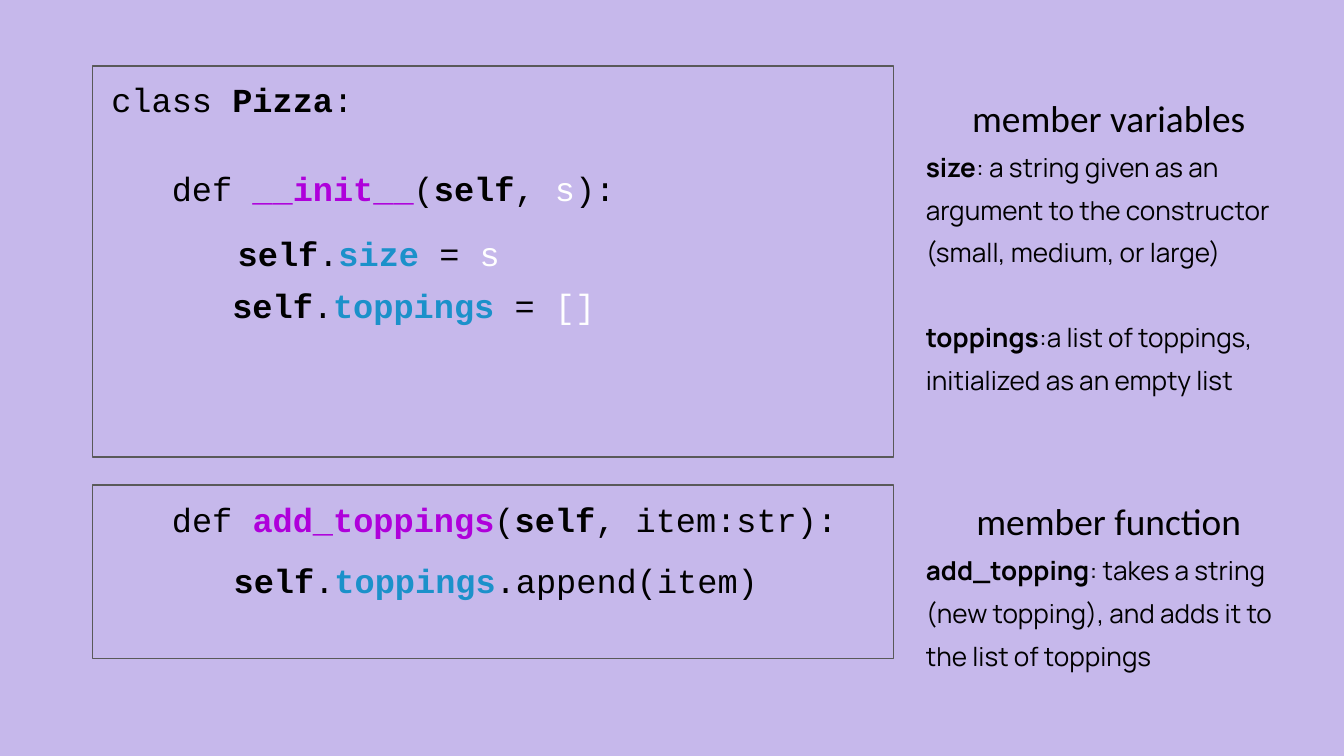
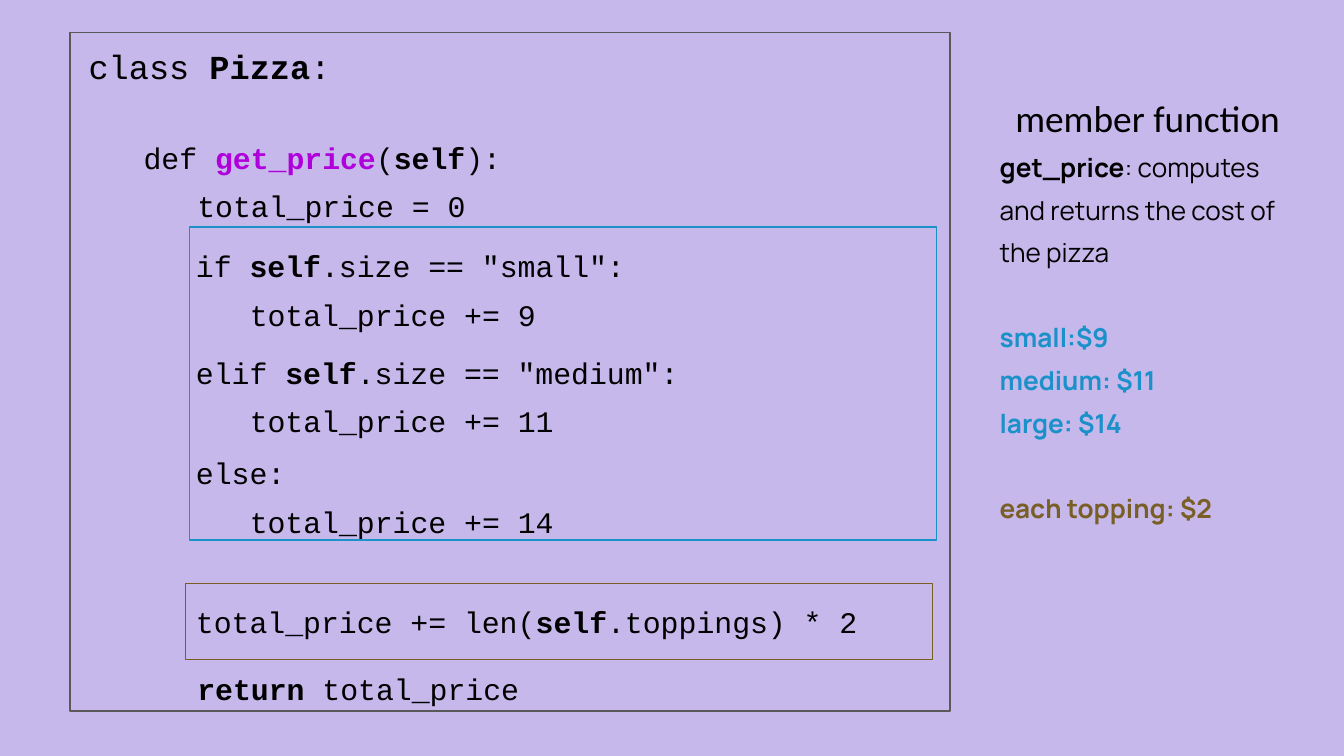
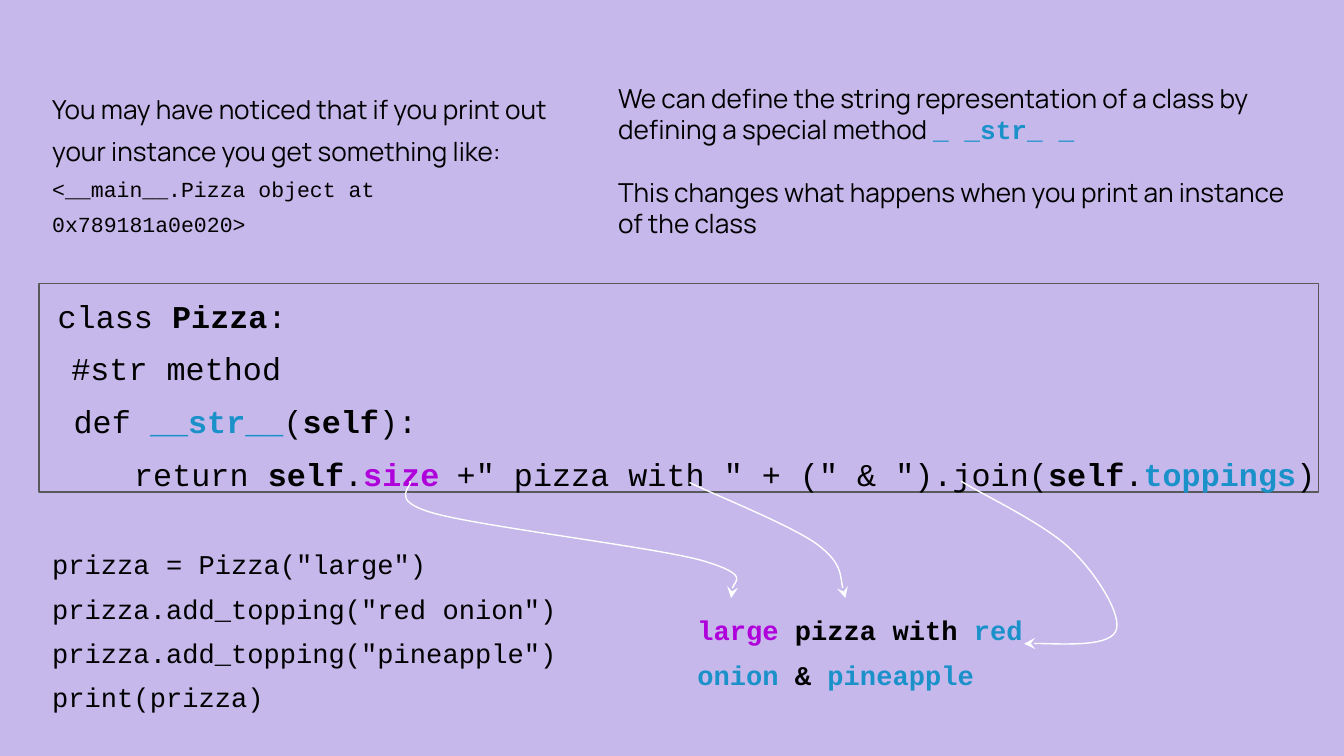
from dataclasses import dataclass

from lxml import etree
from pptx import Presentation, util as u
from pptx.dml.color import RGBColor
from pptx.enum import shapes, text
from pptx.oxml.ns import qn

# Slide grid: 100 columns by 56.25 rows of square cells
CELL = u.Inches(0.1)
COLS, ROWS = 100, 56.25

LILAC, INK, WHITE, GREY = "C6B8EB", "000000", "FFFFFF", "595959"
PURPLE, BLUE, BROWN = "AF00DB", "1B91CA", "795E26"
MONO, BODY, HEAD = "Courier New", "Manrope", "Calibri"
LOOSE = 1.36
CODE_GAP = 10.8
NOTE_LINE = 22.7
HAIRLINE = 0.75


@dataclass
class Box:
    """An area of the slide, in grid cells."""
    x: float
    y: float
    w: float
    h: float

    def inner(self, dx, dy, w, h):
        """A box placed from this one's top left corner."""
        return Box(self.x + dx, self.y + dy, w, h)

    def emu(self):
        return [cells(v) for v in (self.x, self.y, self.w, self.h)]


@dataclass
class Run:
    text: str
    color: str = INK
    bold: bool = True
    font: str = ""


@dataclass
class Para:
    """Runs (plain strings are unstyled) that share a font and spacing."""
    runs: list
    font: str = MONO
    size: float = 18
    color: str = INK
    bold: bool = False
    line: float = 1
    before: float = 0
    indent: float = 0
    center: bool = False


def cells(n):
    return round(n * CELL)


def rgb(color):
    return RGBColor.from_string(color)


SELF = Run("self")


def purple(t):
    return Run(t, PURPLE)


def blue(t):
    return Run(t, BLUE)


def code(*runs, size=18, indent=0.4):
    """A line of code set apart by space above it."""
    return Para(runs, size=size, before=CODE_GAP, indent=indent)


def body_code(*runs, size=16, **kw):
    """A line of code in a block with open line spacing."""
    return Para(runs, size=size, line=LOOSE, **kw)


def note(*runs, **kw):
    return Para(runs, font=BODY, size=14, **{"line": LOOSE, **kw})


def write(tf, paras, anchor=text.MSO_ANCHOR.TOP):
    tf.word_wrap = True
    tf.vertical_anchor = anchor
    tf.margin_left = tf.margin_right = tf.margin_top = tf.margin_bottom = CELL
    for i, para in enumerate(paras):
        p = tf.paragraphs[0] if i == 0 else tf.add_paragraph()
        p.alignment = text.PP_ALIGN.CENTER if para.center else text.PP_ALIGN.LEFT
        p.line_spacing = para.line
        p.space_before = u.Pt(para.before)
        p._p.get_or_add_pPr().set("marL", str(cells(para.indent)))
        p.font.name, p.font.size = para.font, u.Pt(para.size)
        p.font.bold = para.bold
        p.font.color.rgb = rgb(para.color)
        for item in para.runs:
            r = p.add_run()
            if isinstance(item, str):
                r.text = item
                continue
            r.text = item.text
            r.font.bold = item.bold
            r.font.color.rgb = rgb(item.color)
            if item.font:
                r.font.name = item.font


def text_box(s, box, *paras, **kw):
    write(s.shapes.add_textbox(*box.emu()).text_frame, paras, **kw)


def outline(sp, color):
    sp.shadow.inherit = False
    sp.fill.background()
    sp.line.color.rgb = rgb(color)
    sp.line.width = u.Pt(HAIRLINE)


def frame(s, box, *paras, color=GREY):
    """An outlined rectangle, with text if any is given."""
    sp = s.shapes.add_shape(shapes.MSO_SHAPE.RECTANGLE, *box.emu())
    outline(sp, color)
    write(sp.text_frame, paras)


def class_line(size=18):
    return code("class ", Run("Pizza"), ":", size=size)


def curved_arrow(s, start, *curves):
    """An arrow through cubic curves, each two control points and an end."""
    def emu(point):
        return cells(point[0]), cells(point[1])

    builder = s.shapes.build_freeform(*emu(start), scale=1.0)
    builder.add_line_segments([emu(c[-1]) for c in curves], close=False)
    sp = builder.convert_to_shape()
    outline(sp, WHITE)
    for segment, curve in zip(list(sp._element.iter(qn("a:lnTo"))), curves):
        bezier = etree.Element(qn("a:cubicBezTo"))
        for x, y in map(emu, curve):
            etree.SubElement(bezier, qn("a:pt"),
                             x=str(x - sp.left), y=str(y - sp.top))
        segment.getparent().replace(segment, bezier)
    ln = sp._element.spPr.find(qn("a:ln"))
    etree.SubElement(ln, qn("a:tailEnd"), type="stealth")


def side_notes(s, box, heading, *notes):
    title = Para([heading], font=HEAD, size=20, line=LOOSE, center=True)
    text_box(s, box, title, *notes)


def constructor_code(s, box):
    frame(s, box, class_line())
    text_box(s, box.inner(4.5, 6.6, 52.4, 9.6),
             code("def ", purple("__init__"), "(", SELF, ", ",
                  Run("s", WHITE, False), "):"))
    text_box(s, box.inner(9.4, 11.4, 36.9, 5),
             code(SELF, ".", blue("size"), " = ", Run("s", WHITE, False)))
    text_box(s, box.inner(9.4, 15.3, 32.8, 5),
             code(SELF, ".", blue("toppings"), " = ",
                  Run("[]", WHITE, False), indent=0))


def add_toppings_code(s, box):
    frame(s, box)
    text_box(s, box.inner(4.5, 0, 65.5, 9.6),
             code("def ", purple("add_toppings"), "(", SELF, ", item:str):"))
    text_box(s, box.inner(9.1, 4.6, 43.1, 5),
             code(SELF, ".", blue("toppings"), ".append(item)"))


def price_code(s, box):
    step = 4  # three characters of 16 pt code
    frame(s, box, class_line())
    text_box(s, box.inner(4.5, 6, 65.5, 44.9),
             body_code("def ", purple("get_price"), "(", SELF, "):"),
             body_code("total_price = 0", indent=step),
             body_code(Run("return"), " total_price", indent=step, before=232.5))
    branches = [(14.1, ["if ", SELF, '.size == "small":'], 9),
                (22, ["elif ", SELF, '.size == "medium":'], 11),
                (29.5, ["else:"], 14)]
    for top, test, price in branches:
        text_box(s, box.inner(8.4, top, 56.1, 8.4), body_code(*test),
                 body_code(f"total_price += {price}", indent=step))
    text_box(s, box.inner(8.4, 37.8, 56.1, 8.4),
             body_code("total_price += len(", SELF, ".toppings) * 2"),
             anchor=text.MSO_ANCHOR.BOTTOM)
    frame(s, box.inner(8.9, 14.5, 55.6, 23.3), color=BLUE)
    frame(s, box.inner(8.6, 41, 55.6, 5.7), color=BROWN)


def str_explanation(s, box):
    text_box(s, box.inner(0, 0, 40.1, 16),
             note("You may have noticed that if you print out your instance "
                  "you get something like:"),
             body_code("<__main__.Pizza object at 0x789181a0e020>", size=11.5))
    text_box(s, box.inner(42.1, 0, 52.5, 13.8),
             note("We can define the string representation of a class by "
                  "defining a special method ",
                  Run("_ _str_ _", BLUE, font=MONO), line=1),
             note("This changes what happens when you print an instance",
                  line=1, before=16.7),
             note("of the class", line=1))


def str_code(s, box):
    size = 17
    frame(s, box, class_line(size),
          body_code("#str method", size=size, indent=1.42))
    pieces = [
        (1.6, 6.8, 77.7, ["def ", blue("__str__"), "(", SELF, "):"]),
        (6.1, 10.7, 25.9, ["return ", SELF, ".", purple("size")]),
        (30.1, 10.7, 23.5, ['+" pizza with "']),
        (52.8, 10.7, 46.9, ['+ (" & ").join(', SELF, ".",
                            blue("toppings"), ")"]),
    ]
    for x, y, w, runs in pieces:
        text_box(s, box.inner(x, y, w, 4.9), body_code(*runs, size=size))


def usage_and_output(s, box):
    size = 14.5
    calls = ['prizza = Pizza("large")', 'prizza.add_topping("red onion")',
             'prizza.add_topping("pineapple")', "print(prizza)"]
    text_box(s, box.inner(0, 0, 43.3, 14.4),
             *[body_code(call, size=size) for call in calls])
    text_box(s, box.inner(48, 4.9, 32.8, 7.8),
             body_code(purple("large"), Run(" pizza with "), blue("red onion"),
                       Run(" & "), blue("pineapple"), size=size, bold=True))


def output_arrows(s):
    curved_arrow(s, (30.5, 35.8),
                 [(30.8, 36.2), (28.7, 37.2), (32.3, 38.2)],
                 [(35.9, 39.2), (48.5, 40.7), (52.2, 41.7)],
                 [(55.9, 42.8), (54, 44.1), (54.4, 44.5)])
    curved_arrow(s, (51.3, 35.9),
                 [(52.9, 36.7), (58.9, 39.1), (60.8, 40.5)],
                 [(62.7, 41.9), (62.6, 43.8), (62.9, 44.5)])
    curved_arrow(s, (71.5, 35.8),
                 [(72.9, 36.7), (77.8, 39), (79.7, 40.9)],
                 [(81.6, 42.7), (83.6, 45.9), (83, 47)],
                 [(82.4, 48.2), (77.3, 47.8), (76.2, 47.9)])


def members_slide(s):
    constructor_code(s, Box(6.9, 4.9, 59.6, 29.1))
    add_toppings_code(s, Box(6.9, 36.1, 59.6, 12.9))
    side_notes(s, Box(67.9, 4.9, 29.2, 24.9), "member variables",
               note(Run("size"), ": a string given as an argument to the "
                    "constructor (small, medium, or large)"),
               note(Run("toppings"), ":a list of toppings, initialized as "
                    "an empty list", before=NOTE_LINE))
    side_notes(s, Box(67.9, 34.9, 29.2, 15.3), "member function",
               note(Run("add_topping"), ": takes a string (new topping), "
                    "and adds it to the list of toppings"))


def price_slide(s):
    price_code(s, Box(5.2, 2.4, 65.5, 50.5))
    side_notes(s, Box(73.4, 4.9, 24, 37.7), "member function",
               note(Run("get_price"),
                    ": computes and returns the cost of the pizza"),
               note("small:$9", color=BLUE, bold=True, before=NOTE_LINE),
               note("medium: $11", color=BLUE, bold=True),
               note("large: $14", color=BLUE, bold=True),
               note("each topping: $2", color=BROWN, bold=True,
                    before=NOTE_LINE))


def str_slide(s):
    str_code(s, Box(2.9, 21.1, 95.2, 15.5))
    str_explanation(s, Box(2.9, 5.1, 94.6, 16))
    usage_and_output(s, Box(2.9, 38.9, 80.8, 14.4))
    output_arrows(s)


def main():
    prs = Presentation()
    prs.slide_width, prs.slide_height = cells(COLS), cells(ROWS)
    fill = prs.slide_master.background.fill
    fill.solid()
    fill.fore_color.rgb = rgb(LILAC)
    blank = prs.slide_layouts[6]
    for build in (members_slide, price_slide, str_slide):
        build(prs.slides.add_slide(blank))
    prs.save("out.pptx")


if __name__ == "__main__":
    main()
